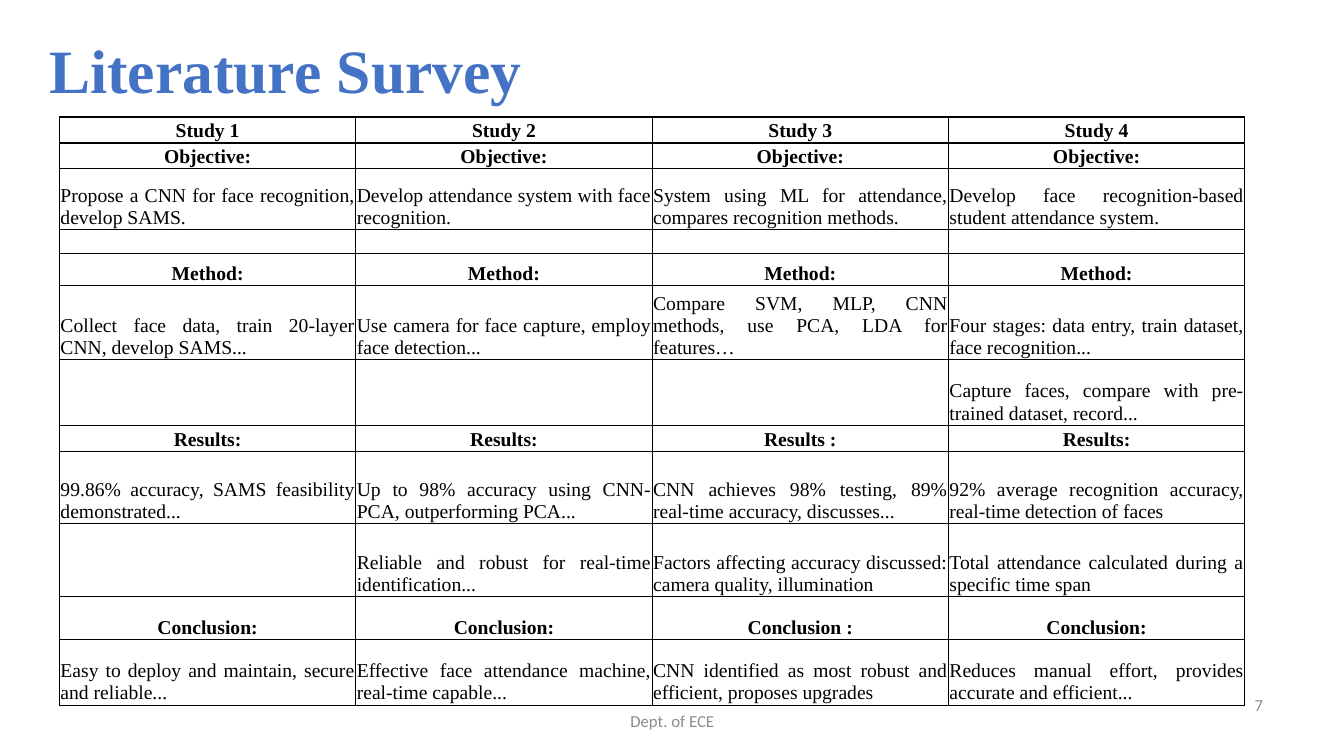
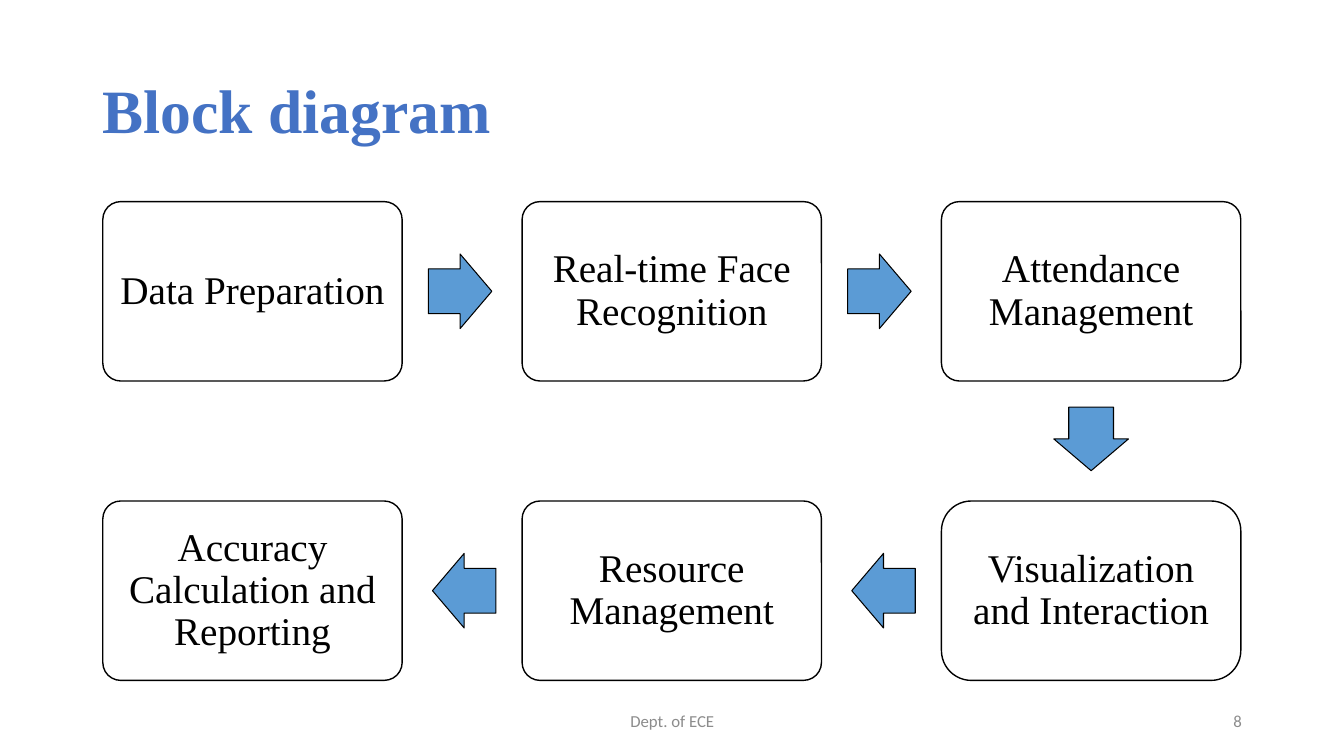
from itertools import pairwise

from lxml import etree
from pptx import Presentation
from pptx.dml.color import RGBColor
from pptx.enum import shapes, text
from pptx.oxml.ns import qn
from pptx.util import Inches, Pt

COLORS = {
    "title": "4472C4",
    "ink": "000000",
    "footer": "8C8C8C",
    "box": "FFFFFF",
    "arrow": "5B9BD5",
}
SERIF, SANS = "Times New Roman", "Calibri"
LEFT, CENTER, RIGHT, JUSTIFY = (
    text.PP_ALIGN.LEFT, text.PP_ALIGN.CENTER, text.PP_ALIGN.RIGHT, text.PP_ALIGN.JUSTIFY)

# Survey rows: height, is heading, one text per study
SURVEY = [
    (0.25, True, [f"Study {number}" for number in range(1, 5)]),
    (0.25, True, ["Objective:"] * 4),
    (0.6, False, ["Propose a CNN for face recognition, develop SAMS.",
                  "Develop attendance system with face recognition.",
                  "System using ML for attendance, compares recognition methods.",
                  "Develop face recognition-based student attendance system."]),
    (0.24, False, [""] * 4),
    (0.32, True, ["Method:"] * 4),
    (0.73, False, ["Collect face data, train 20-layer CNN, develop SAMS...",
                   "Use camera for face capture, employ face detection...",
                   "Compare SVM, MLP, CNN methods, use PCA, LDA for features…",
                   "Four stages: data entry, train dataset, face recognition..."]),
    (0.65, False, ["", "", "",
                   "Capture faces, compare with pre-trained dataset, record..."]),
    (0.25, True, ["Results:", "Results:", "Results :", "Results:"]),
    (0.72, False, ["99.86% accuracy, SAMS feasibility demonstrated...",
                   "Up to 98% accuracy using CNN-PCA, outperforming PCA...",
                   "CNN achieves 98% testing, 89% real-time accuracy, discusses...",
                   "92% average recognition accuracy, real-time detection of faces"]),
    (0.72, False, ["",
                   "Reliable and robust for real-time identification...",
                   "Factors affecting accuracy discussed: camera quality, illumination",
                   "Total attendance calculated during a specific time span"]),
    (0.43, True, ["Conclusion:", "Conclusion:", "Conclusion :", "Conclusion:"]),
    (0.65, False, ["Easy to deploy and maintain, secure and reliable...",
                   "Effective face attendance machine, real-time capable...",
                   "CNN identified as most robust and efficient, proposes upgrades",
                   "Reduces manual effort, provides accurate and efficient..."]),
]

# Block diagram steps in order: label, column, row
STEPS = [
    ("Data Preparation", 0, 0),
    ("Real-time Face Recognition", 1, 0),
    ("Attendance Management", 2, 0),
    ("Visualization and Interaction", 2, 1),
    ("Resource Management", 1, 1),
    ("Accuracy Calculation and Reporting", 0, 1),
]
BOX_WIDTH, BOX_HEIGHT = 2.97, 1.78
ARROW_LENGTH, ARROW_HEIGHT, ARROW_GAP = 0.63, 0.74, 0.26
ROTATIONS = {(1, 0): 0, (0, 1): 90, (-1, 0): 180}


def color(name):
    return RGBColor.from_string(COLORS[name])


def write(paragraph, words, size, ink="ink", font=SERIF, bold=False,
          align=LEFT, spacing=1.0):
    paragraph.alignment = align
    paragraph.line_spacing = spacing
    span = paragraph.add_run()
    span.text = words
    span.font.name = font
    span.font.size = Pt(size)
    span.font.bold = bold
    span.font.color.rgb = color(ink)


def add_label(page, area, words, size, **style):
    box = page.shapes.add_textbox(*map(Inches, area))
    frame = box.text_frame
    frame.word_wrap = True
    frame.vertical_anchor = text.MSO_ANCHOR.MIDDLE
    write(frame.paragraphs[0], words, size, **style)


def add_page(deck, title, title_place, number, number_place):
    """Blank slide with the shared title, footer and page number."""
    page = deck.slides.add_slide(deck.slide_layouts[6])
    add_label(page, (*title_place, 11.5, 1.45), title, 44,
              ink="title", bold=True, spacing=0.9)
    small = {"ink": "footer", "font": SANS}
    add_label(page, (4.42, 6.95, 4.5, 0.4), "Dept. of ECE", 12, align=CENTER, **small)
    add_label(page, (*number_place, 3, 0.4), str(number), 12, align=RIGHT, **small)
    return page


def add_borders(cell):
    properties = cell._tc.get_or_add_tcPr()
    for side in ("a:lnL", "a:lnR", "a:lnT", "a:lnB"):
        line = etree.SubElement(properties, qn(side), w=str(Pt(1)))
        fill = etree.SubElement(line, qn("a:solidFill"))
        etree.SubElement(fill, qn("a:srgbClr"), val=COLORS["ink"])


def fill_cell(cell, words, heading):
    add_borders(cell)
    cell.fill.background()
    cell.vertical_anchor = text.MSO_ANCHOR.BOTTOM
    cell.margin_left = cell.margin_right = Inches(0.01)
    cell.margin_top = cell.margin_bottom = Inches(0.01)
    paragraph = cell.text_frame.paragraphs[0]
    if words:
        write(paragraph, words, 14, bold=heading,
              align=CENTER if heading else JUSTIFY, spacing=1.02)
    else:
        # Keeps an empty row from growing to the default text size
        etree.SubElement(paragraph._p, qn("a:endParaRPr"), sz="1200")


def add_survey(page):
    total = sum(height for height, _, _ in SURVEY)
    table = page.shapes.add_table(
        len(SURVEY), 4, Inches(0.59), Inches(1.16), Inches(11.76), Inches(total)).table
    table.first_row = table.horz_banding = False
    for column in table.columns:
        column.width = Inches(2.94)
    for row, (height, heading, entries) in zip(table.rows, SURVEY):
        row.height = Inches(height)
        for cell, words in zip(row.cells, entries):
            fill_cell(cell, words, heading)


def add_block(page, preset, center, size, fill):
    (x, y), (width, height) = center, size
    block = page.shapes.add_shape(
        preset, Inches(x - width / 2), Inches(y - height / 2),
        Inches(width), Inches(height))
    block.shadow.inherit = False
    block.fill.solid()
    block.fill.fore_color.rgb = color(fill)
    block.line.color.rgb = color("ink")
    return block


def step_center(column, row):
    return (1.02 + BOX_WIDTH / 2 + 4.16 * column, 2 + BOX_HEIGHT / 2 + 2.97 * row)


def add_step(page, label, column, row):
    rounder = (column, row) == (2, 1)
    preset = (shapes.MSO_SHAPE.FLOWCHART_ALTERNATE_PROCESS if rounder
              else shapes.MSO_SHAPE.ROUNDED_RECTANGLE)
    box = add_block(page, preset, step_center(column, row),
                    (BOX_WIDTH, BOX_HEIGHT), "box")
    box.line.width = Pt(1)
    if not rounder:
        box.adjustments[0] = 0.1
    frame = box.text_frame
    frame.word_wrap = True
    frame.vertical_anchor = text.MSO_ANCHOR.MIDDLE
    frame.margin_left = frame.margin_right = Inches(0.12)
    frame.margin_top = frame.margin_bottom = Inches(0.12)
    write(frame.paragraphs[0], label, 28, align=CENTER, spacing=0.9)


def add_step_arrow(page, source, target):
    """Block arrow that starts a fixed gap beyond the source box."""
    across, down = target[0] - source[0], target[1] - source[1]
    x, y = step_center(*source)
    reach = ARROW_GAP + ARROW_LENGTH / 2
    center = (x + across * (BOX_WIDTH / 2 + reach), y + down * (BOX_HEIGHT / 2 + reach))
    arrow = add_block(page, shapes.MSO_SHAPE.RIGHT_ARROW, center,
                      (ARROW_LENGTH, ARROW_HEIGHT), "arrow")
    arrow.line.width = Pt(0)  # hairline
    arrow.adjustments[0] = 0.6
    arrow.adjustments[1] = 0.5
    arrow.rotation = ROTATIONS[across, down]


def main():
    deck = Presentation()
    deck.slide_width, deck.slide_height = Inches(40 / 3), Inches(7.5)

    # Literature survey
    page = add_page(deck, "Literature Survey", (0.39, 0), 7, (9.63, 6.79))
    add_survey(page)

    # Block diagram
    page = add_page(deck, "Block diagram", (0.92, 0.4), 8, (9.42, 6.95))
    for step in STEPS:
        add_step(page, *step)
    for (_, *source), (_, *target) in pairwise(STEPS):
        add_step_arrow(page, source, target)

    deck.save("out.pptx")


if __name__ == "__main__":
    main()
